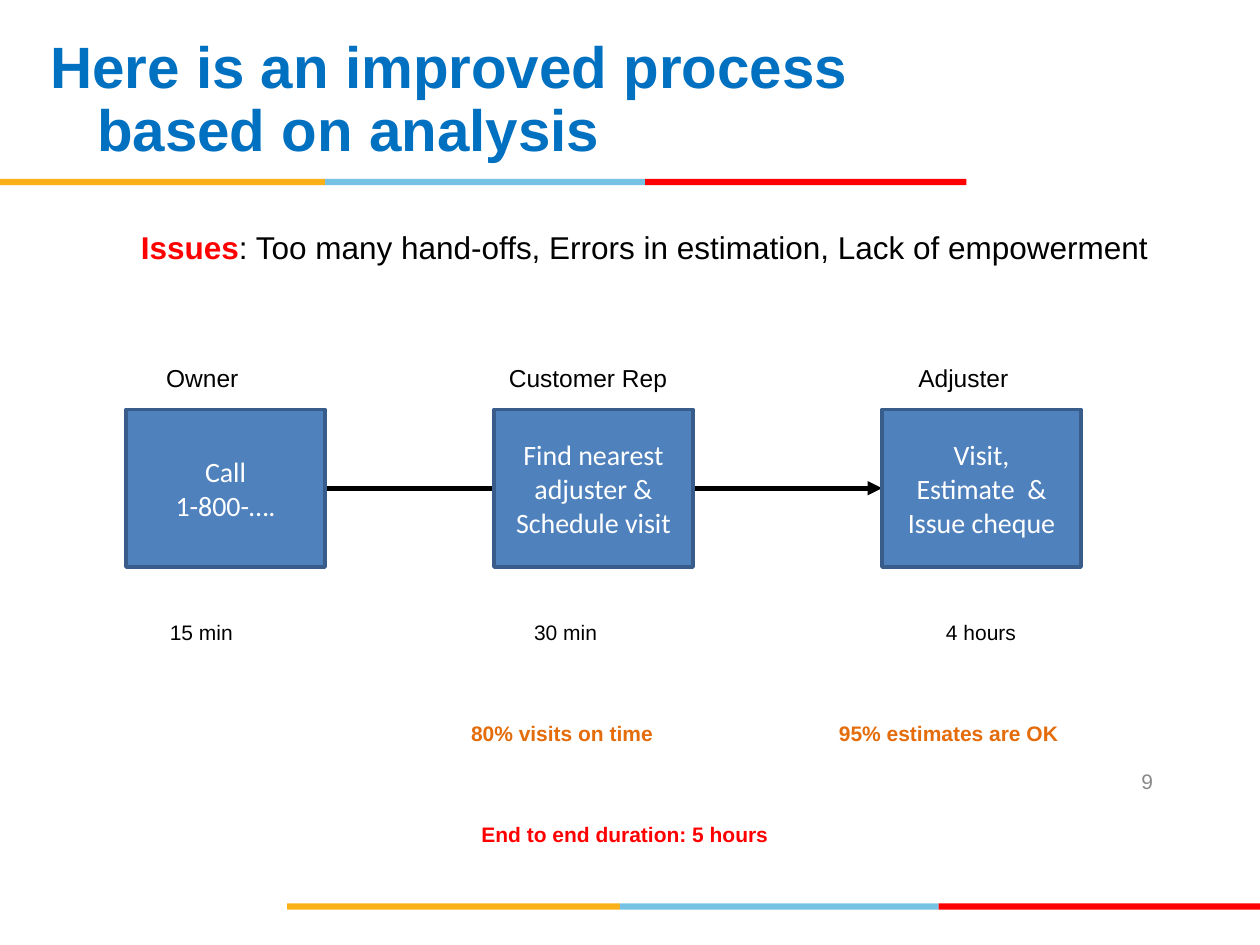
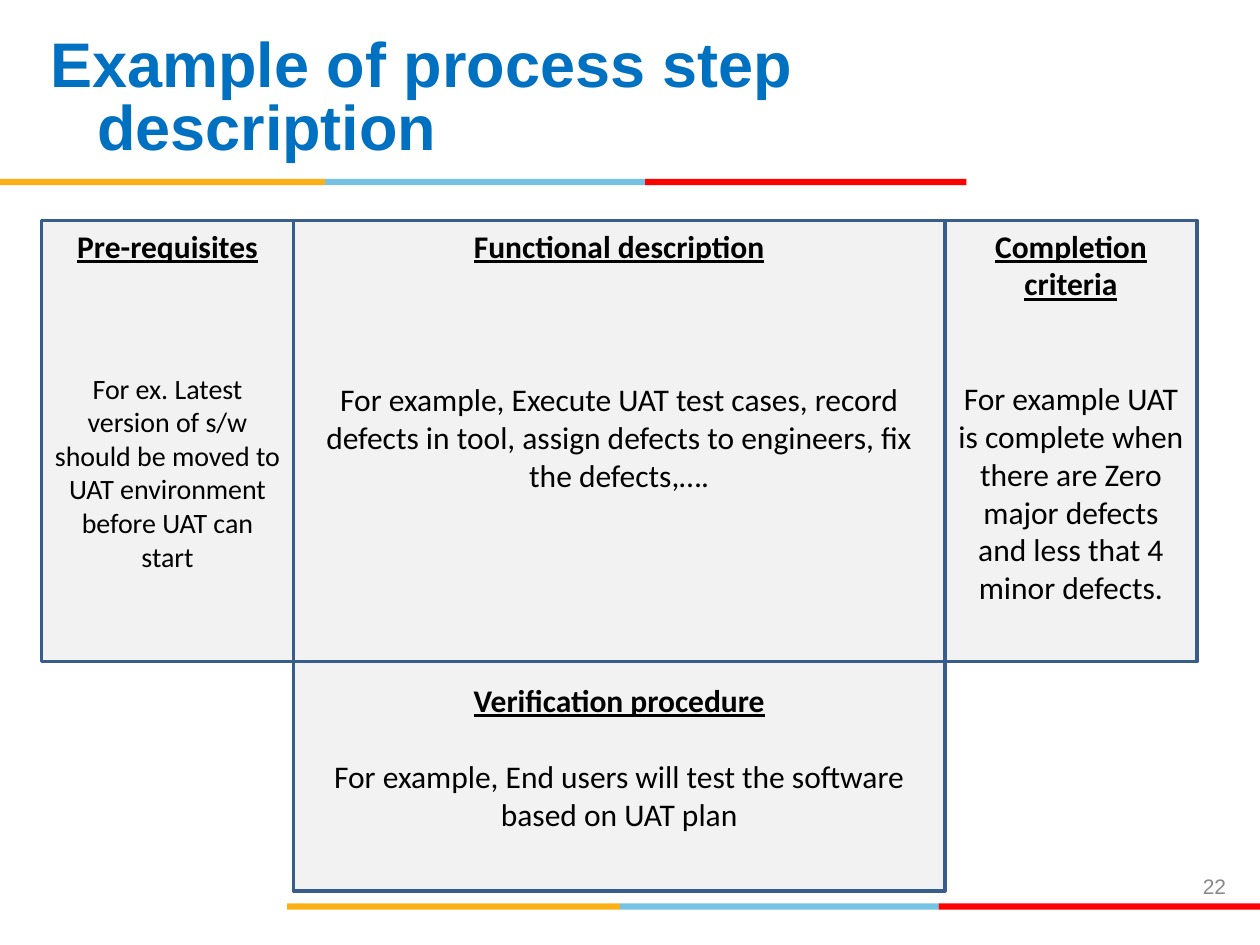
from dataclasses import dataclass
from itertools import pairwise

from lxml import etree
from pptx import Presentation
from pptx.dml.color import RGBColor
from pptx.enum.shapes import MSO_CONNECTOR, MSO_SHAPE
from pptx.enum.text import MSO_ANCHOR, MSO_AUTO_SIZE, PP_ALIGN
from pptx.oxml.ns import qn
from pptx.util import Inches, Pt

RECTANGLE = MSO_SHAPE.RECTANGLE
STRAIGHT = MSO_CONNECTOR.STRAIGHT
TOP, MIDDLE = MSO_ANCHOR.TOP, MSO_ANCHOR.MIDDLE
LEFT, CENTER, RIGHT = PP_ALIGN.LEFT, PP_ALIGN.CENTER, PP_ALIGN.RIGHT
TITLE_ONLY = 5


@dataclass(frozen=True)
class Theme:
    heading_font: str = "Arial"
    box_font: str = "Calibri"
    title: str = "0070C0"
    ink: str = "000000"
    white: str = "FFFFFF"
    muted: str = "898989"
    alert: str = "FF0000"
    quality: str = "E46C0A"
    step_fill: str = "4F81BD"
    panel_fill: str = "F2F2F2"
    border: str = "385D8A"
    bands: tuple = ("FCB017", "76C2E5", "FF0000")
    issue_size: float = 18
    role_size: float = 14
    small_size: float = 12
    step_size: float = 16
    panel_size: float = 18
    border_width: float = 2
    arrow_width: float = 2.75
    title_leading: float = 36


THEME = Theme()

# Band edges from left to right, with the top of each row
HEADER_BANDS = (1.42, (0, 2.58, 5.12, 7.67))
FOOTER_BANDS = (7.17, (2.28, 4.92, 7.45, 10))

# Process steps: box left, lines, role, time and quality (each with its left)
STEP_TOP, STEP_WIDTH, STEP_HEIGHT = 3.25, 1.58, 1.25
STEPS = [
    (1, ("Call", "1-800-…."), [(1.22, "Owner"), (1.25, "15 min")]),
    (3.92, ("Find nearest adjuster &", "Schedule visit"),
     [(3.94, "Customer Rep"), (4.14, "30 min"), (3.64, "80% visits on time")]),
    (7, ("Visit,", "Estimate  & Issue cheque"),
     [(7.19, "Adjuster"), (7.41, "4 hours"), (6.56, "95% estimates are OK")]),
]
ROLE_TOP, TIME_TOP, MEASURE_PITCH = 2.83, 4.87, 0.8

# Panels around the process step: column edges and row edges
SIDE_LEFT, CENTRE_LEFT, CENTRE_RIGHT, SIDE_RIGHT = 0.33, 2.33, 7.5, 9.5
PANEL_TOP, PANEL_SPLIT, PANEL_BOTTOM = 1.75, 5.25, 7.07


def style_font(font, size, color, name=THEME.heading_font, bold=False):
    font.name, font.size, font.bold = name, Pt(size), bold
    font.color.rgb = RGBColor.from_string(color)


def add_box(slide, left, top, width, height, fill, border=None):
    box = slide.shapes.add_shape(RECTANGLE, Inches(left), Inches(top),
                                 Inches(width), Inches(height))
    box.shadow.inherit = False
    box.fill.solid()
    box.fill.fore_color.rgb = RGBColor.from_string(fill)
    if border:
        box.line.color.rgb = RGBColor.from_string(border)
        box.line.width = Pt(THEME.border_width)
    else:
        box.line.fill.background()
    box.text_frame.word_wrap = True
    return box


def add_label(slide, text, left, top, width, height, size, color,
              bold=False, align=LEFT, anchor=TOP):
    label = slide.shapes.add_textbox(Inches(left), Inches(top),
                                     Inches(width), Inches(height))
    frame = label.text_frame
    frame.word_wrap = True
    frame.vertical_anchor = anchor
    paragraph = frame.paragraphs[0]
    paragraph.text = text
    paragraph.alignment = align
    style_font(paragraph.font, size, color, bold=bold)
    return paragraph


def add_bands(slide, top, edges):
    for (left, right), color in zip(pairwise(edges), THEME.bands):
        add_box(slide, left, top, right - left, 0.05, color)


def add_page(deck, title_text, title_size, number, number_left, number_top):
    slide = deck.slides.add_slide(deck.slide_layouts[TITLE_ONLY])
    for bands in (HEADER_BANDS, FOOTER_BANDS):
        add_bands(slide, *bands)

    # Title with a hanging second line
    title = slide.shapes.title
    title.left, title.top = Inches(0.33), Inches(0.17)
    title.width, title.height = Inches(6.92), Inches(1.25)
    frame = title.text_frame
    frame.auto_size = MSO_AUTO_SIZE.NONE
    frame.word_wrap = True
    frame.vertical_anchor = MIDDLE
    frame.margin_left = frame.margin_right = Inches(0.07)
    paragraph = frame.paragraphs[0]
    paragraph.text = title_text
    paragraph.alignment = LEFT
    paragraph.line_spacing = Pt(THEME.title_leading)
    properties = paragraph._p.get_or_add_pPr()
    properties.set("marL", str(Inches(0.37)))
    properties.set("indent", str(-Inches(0.37)))
    style_font(paragraph.font, title_size, THEME.title, bold=True)

    # Slide number
    add_label(slide, number, number_left, number_top, 2.33, 0.4,
              THEME.small_size, THEME.muted, align=RIGHT, anchor=MIDDLE)
    return slide


def add_arrow(slide, start, end, y):
    arrow = slide.shapes.add_connector(STRAIGHT, Inches(start), Inches(y),
                                       Inches(end), Inches(y))
    arrow.line.color.rgb = RGBColor.from_string(THEME.ink)
    arrow.line.width = Pt(THEME.arrow_width)
    etree.SubElement(arrow.line._get_or_add_ln(), qn("a:tailEnd"), type="triangle")
    etree.SubElement(arrow._element.spPr, qn("a:effectLst"))


def add_step(slide, left, lines):
    step = add_box(slide, left, STEP_TOP, STEP_WIDTH, STEP_HEIGHT,
                   THEME.step_fill, THEME.border)
    frame = step.text_frame
    frame.vertical_anchor = MIDDLE
    frame.text = "\n".join(lines)
    for paragraph in frame.paragraphs:
        paragraph.alignment = CENTER
        style_font(paragraph.font, THEME.step_size, THEME.white, THEME.box_font)


def add_panel(slide, left, top, right, bottom, heading, example, gap,
              size=THEME.panel_size):
    panel = add_box(slide, left, top, right - left, bottom - top,
                    THEME.panel_fill, THEME.border)
    frame = panel.text_frame
    frame.vertical_anchor = TOP
    frame.text = f"{heading}\n{example}"
    head, body = frame.paragraphs
    head.alignment = body.alignment = CENTER
    style_font(head.font, THEME.panel_size, THEME.ink, THEME.box_font, bold=True)
    head.font.underline = True
    style_font(body.font, size, THEME.ink, THEME.box_font)
    body.space_before = Pt(gap)
    return frame


def build_improved_process(deck):
    slide = add_page(deck, "Here is an improved process based on analysis",
                     33.3, "9", 6.92, 6)

    # Issues line
    issues = add_label(slide, "Issues", 1.02, 1.76, 8.5, 0.4,
                       THEME.issue_size, THEME.ink)
    style_font(issues.runs[0].font, THEME.issue_size, THEME.alert, bold=True)
    issues.add_run().text = (": Too many hand-offs, Errors in estimation, "
                             "Lack of empowerment")

    # Flow arrow runs behind the middle step
    add_arrow(slide, STEPS[0][0] + STEP_WIDTH, STEPS[-1][0],
              STEP_TOP + STEP_HEIGHT / 2)

    # Steps with role above, time and quality below
    label_rows = [
        (ROLE_TOP, THEME.role_size, THEME.ink, False),
        (TIME_TOP, THEME.small_size, THEME.ink, False),
        (TIME_TOP + MEASURE_PITCH, THEME.small_size, THEME.quality, True),
    ]
    for step_left, lines, labels in STEPS:
        add_step(slide, step_left, lines)
        for (left, text), (top, size, color, bold) in zip(labels, label_rows):
            add_label(slide, text, left, top, 2.2, 0.34, size, color, bold)

    # Overall duration
    add_label(slide, "End to end duration: 5 hours", 1.25,
              TIME_TOP + 2 * MEASURE_PITCH, 7.42, 0.3,
              THEME.small_size, THEME.alert, bold=True, align=CENTER)


def build_step_description(deck):
    slide = add_page(deck, "Example of process step description",
                     36, "22", 7.5, 6.83)
    add_panel(slide, SIDE_LEFT, PANEL_TOP, CENTRE_LEFT, PANEL_SPLIT,
              "Pre-requisites",
              "For ex. Latest version of s/w should be moved to UAT "
              "environment before UAT can start", 61, THEME.step_size)
    add_panel(slide, CENTRE_LEFT, PANEL_TOP, CENTRE_RIGHT, PANEL_SPLIT,
              "Functional description",
              "For example, Execute UAT test cases, record defects in tool, "
              "assign defects to engineers, fix the defects,….", 66)
    add_panel(slide, CENTRE_RIGHT, PANEL_TOP, SIDE_RIGHT, PANEL_SPLIT,
              "Completion criteria",
              "For example UAT is complete when there are Zero major defects "
              "and less that 4 minor defects.", 44)
    verification = add_panel(
        slide, CENTRE_LEFT, PANEL_SPLIT, CENTRE_RIGHT, PANEL_BOTTOM,
        "Verification procedure",
        "For example, End users will test the software based on UAT plan", 22)
    verification.vertical_anchor = MIDDLE
    verification.margin_bottom = Inches(0.36)


def main():
    deck = Presentation()
    deck.slide_width, deck.slide_height = Inches(10), Inches(7.5)
    build_improved_process(deck)
    build_step_description(deck)
    deck.save("out.pptx")


if __name__ == "__main__":
    main()
